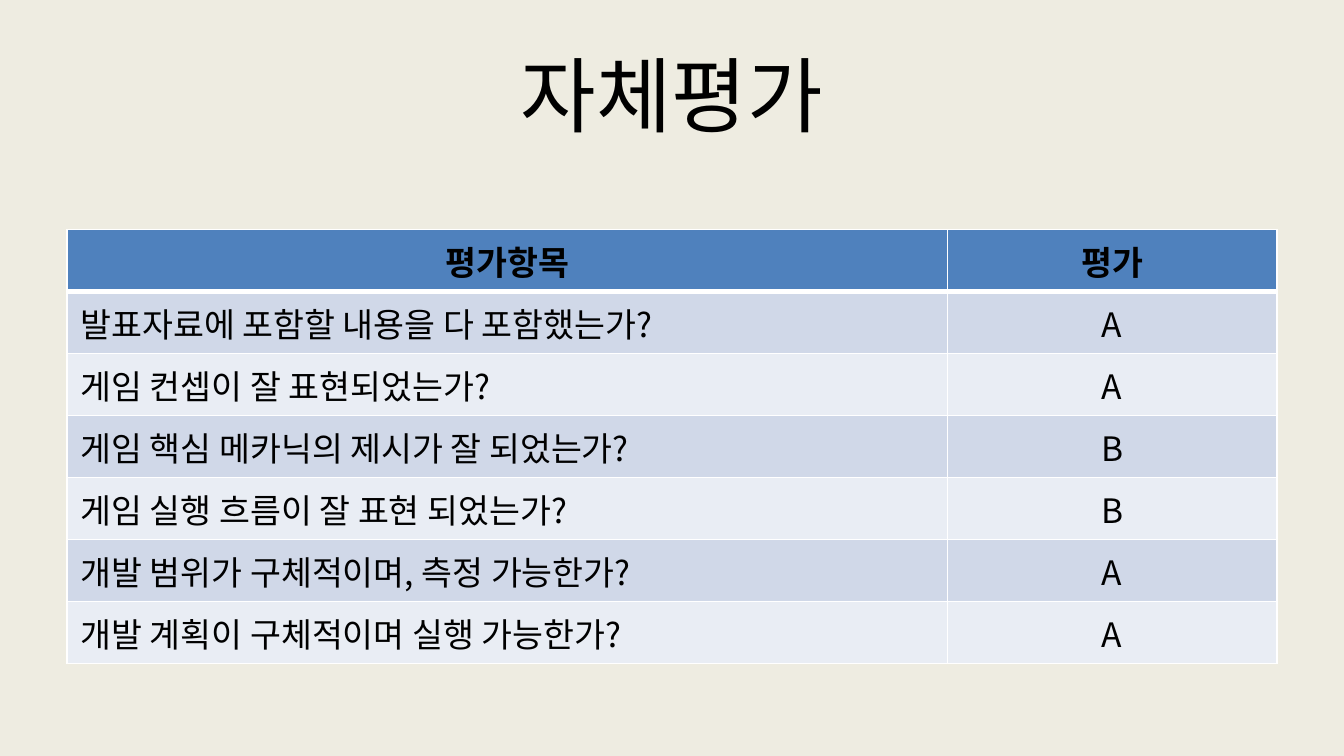
import pptx
import pptx.util
import pptx.dml.color
import pptx.enum.text
import pptx.oxml
import pptx.oxml.ns
from lxml import etree

Pt = pptx.util.Pt
ALIGN = pptx.enum.text.PP_ALIGN
MIDDLE = pptx.enum.text.MSO_ANCHOR.MIDDLE
FONT = "Noto Sans CJK KR"

TITLE = "자체평가"
HEAD = ("평가항목", "평가")
ITEMS = [
    ("발표자료에 포함할 내용을 다 포함했는가?", "A"),
    ("게임 컨셉이 잘 표현되었는가?", "A"),
    ("게임 핵심 메카닉의 제시가 잘 되었는가?", "B"),
    ("게임 실행 흐름이 잘 표현 되었는가?", "B"),
    ("개발 범위가 구체적이며, 측정 가능한가?", "A"),
    ("개발 계획이 구체적이며 실행 가능한가?", "A"),
]
BLUE, BANDS = "4F81BD", ("D0D8E8", "E9EDF4")
PAPER, WHITE, BLACK = "EEECE1", "FFFFFF", "000000"
WIDE, HIGH, EDGE = 720, 405, 36
COLS, ROW = (471.6, 176.4), 33.2


def paint(fill, color):
    fill.solid()
    fill.fore_color.rgb = pptx.dml.color.RGBColor.from_string(color)


def write(frame, text, size, align, bold=False):
    para = frame.paragraphs[0]
    para.alignment = align
    run = para.add_run()
    run.text = text
    font = run.font
    font.name, font.size, font.bold = FONT, Pt(size), bold
    paint(font.fill, BLACK)
    # Hangul takes its typeface from the East Asian font slot.
    props = run._r.get_or_add_rPr()
    etree.SubElement(props, pptx.oxml.ns.qn("a:ea"), typeface=FONT)


def rule(cell, side, width):
    """Draw a white border on one side (L, R, T or B) of a cell."""
    line = pptx.oxml.parse_xml(
        f'<a:ln{side} {pptx.oxml.ns.nsdecls("a")} w="{Pt(width)}">'
        f'<a:solidFill><a:srgbClr val="{WHITE}"/></a:solidFill></a:ln{side}>')
    cell._tc.get_or_add_tcPr().append(line)


deck = pptx.Presentation()
deck.slide_width, deck.slide_height = Pt(WIDE), Pt(HIGH)
slide = deck.slides.add_slide(deck.slide_layouts[6])
paint(slide.background.fill, PAPER)

title = slide.shapes.add_textbox(
    Pt(EDGE), Pt(16.5), Pt(WIDE - 2 * EDGE), Pt(67.5)).text_frame
title.word_wrap = True
title.vertical_anchor = MIDDLE
write(title, TITLE, 44, ALIGN.CENTER)

rows = [HEAD] + ITEMS
table = slide.shapes.add_table(
    len(rows), len(COLS), Pt(EDGE), Pt(123), Pt(sum(COLS)),
    Pt(ROW * len(rows))).table
for col, width in zip(table.columns, COLS):
    col.width = Pt(width)

for r, row in enumerate(rows):
    table.rows[r].height = Pt(ROW)
    for c, text in enumerate(row):
        cell = table.cell(r, c)
        head = r == 0
        for side in "LRTB":
            thick = (head and side == "B") or (r == 1 and side == "T")
            rule(cell, side, 3 if thick else 1)
        paint(cell.fill, BLUE if head else BANDS[(r - 1) % 2])
        left = c == 0 and not head
        write(cell.text_frame, text, 18,
              ALIGN.LEFT if left else ALIGN.CENTER, head)

deck.save("out.pptx")
